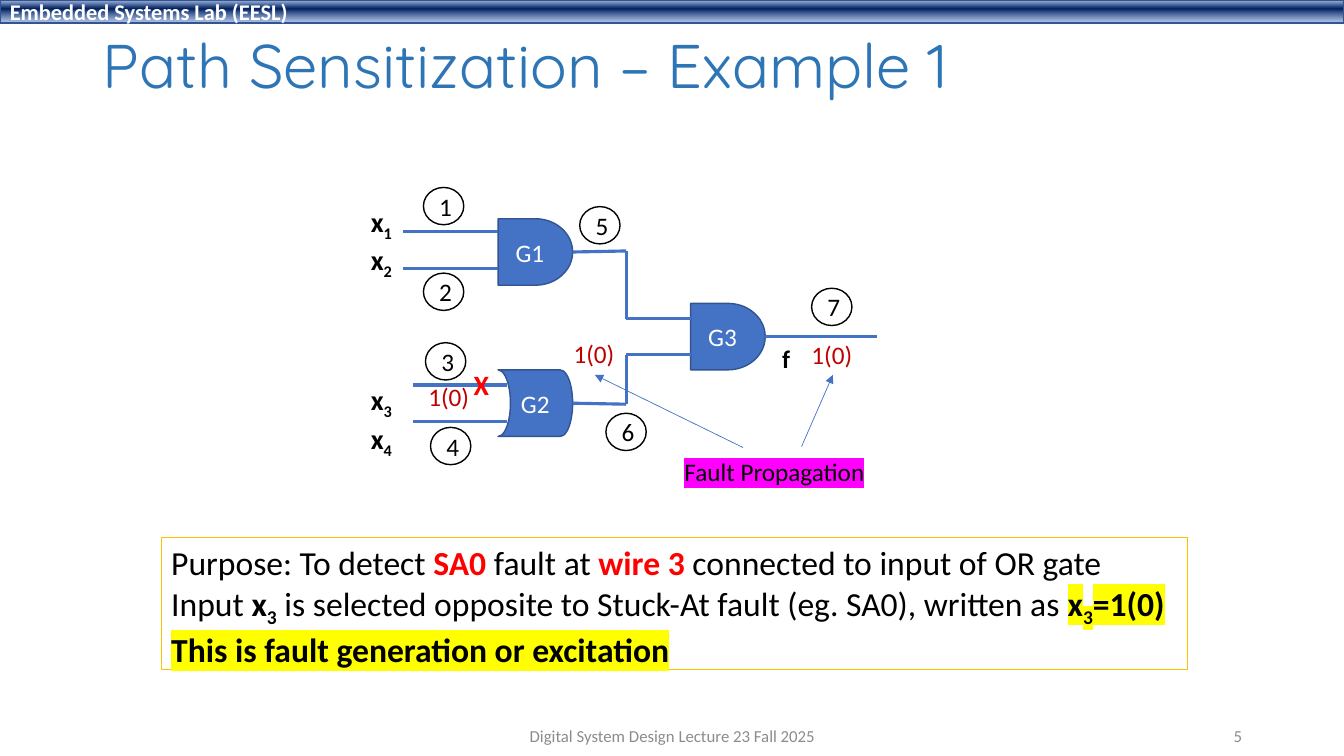
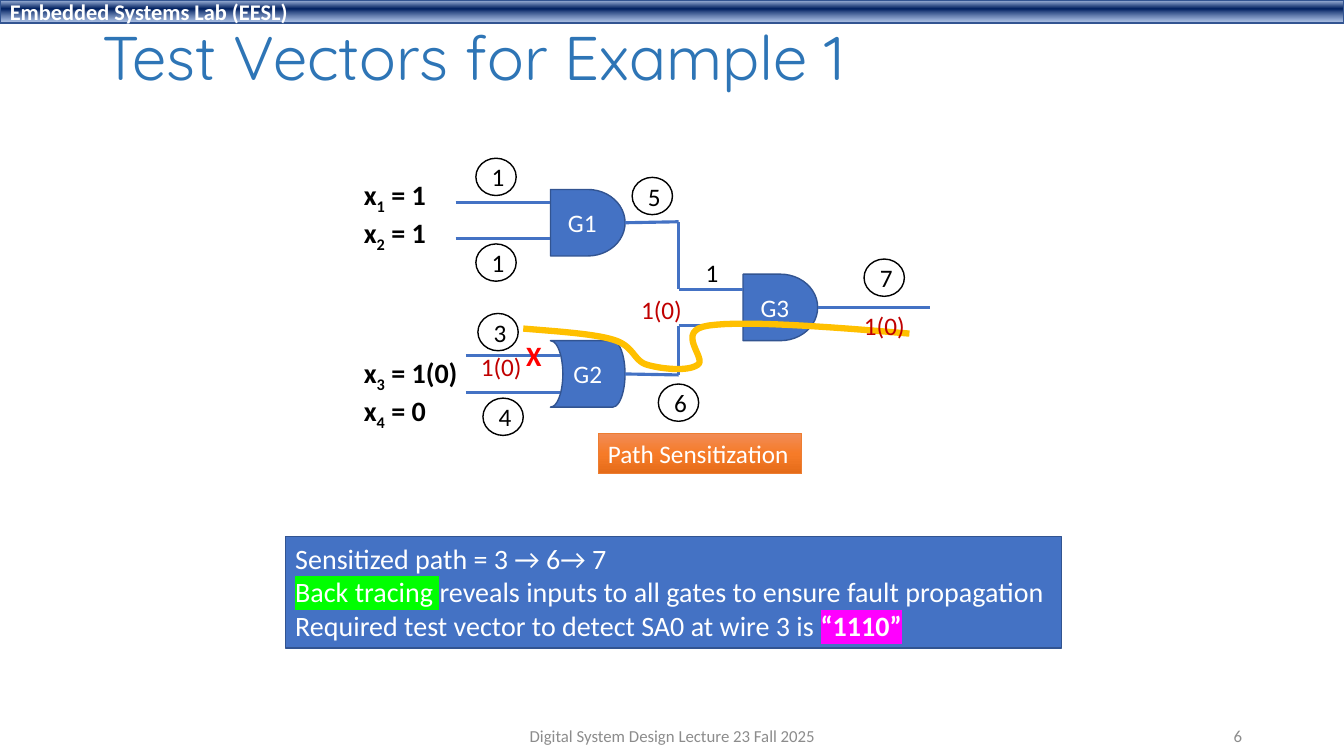
import copy

import lxml.etree
import pptx
import pptx.dml.color
import pptx.enum.shapes
import pptx.enum.text
import pptx.oxml.ns
import pptx.util

Inches, Pt = pptx.util.Inches, pptx.util.Pt
RGB = pptx.dml.color.RGBColor
SHAPE = pptx.enum.shapes.MSO_SHAPE
PH = pptx.enum.shapes.PP_PLACEHOLDER
ALIGN = pptx.enum.text.PP_ALIGN
ANCHOR = pptx.enum.text.MSO_ANCHOR
AUTO = pptx.enum.text.MSO_AUTO_SIZE
qn = pptx.oxml.ns.qn

# Shared look
BLUE, DARK_BLUE = RGB(0x44, 0x72, 0xC4), RGB(0x32, 0x54, 0x91)
TITLE_BLUE, GRAY = RGB(0x2E, 0x75, 0xB6), RGB(0x8C, 0x8C, 0x8C)
BLACK, WHITE = RGB(0, 0, 0), RGB(0xFF, 0xFF, 0xFF)
RED, DARK_RED = RGB(0xFF, 0, 0), RGB(0xC0, 0, 0)
GOLD, ORANGE = RGB(0xFF, 0xC0, 0), RGB(0xED, 0x7D, 0x31)
YELLOW, GREEN = RGB(0xFF, 0xFF, 0), RGB(0, 0xFF, 0)
MAGENTA = RGB(0xFF, 0, 0xFF)
# Gradient stops: position %, colour, opacity %
BAND_STOPS = [(2, RGB(0xAB, 0xC0, 0xE4), 100), (38, RGB(0, 0x20, 0x60), 100),
              (93, RGB(0x7E, 0x9E, 0xD6), 64)]
ORANGE_STOPS = [(0, RGB(0xF1, 0x8C, 0x57), 100), (50, RGB(0xF6, 0x7B, 0x28), 100),
                (100, RGB(0xE5, 0x6C, 0x19), 100)]
BODY_FONT, TITLE_FONT = "Calibri", "Quicksand"
FOOTER = "Digital System Design Lecture 23 Fall 2025"

# Circuit geometry, before the slide's offset
GATES = [("G1", SHAPE.FLOWCHART_DELAY, 4.94, 2.17),
         ("G3", SHAPE.FLOWCHART_DELAY, 6.85, 3.01),
         ("G2", SHAPE.FLOWCHART_STORED_DATA, 4.94, 3.67)]
WIRES = [(4, 2.3, 4.94, 2.3), (4, 2.66, 4.94, 2.66),
         (4.1, 3.82, 5.03, 3.82), (4.1, 4.18, 5.03, 4.18),
         (5.68, 2.5, 6.21, 2.49), (6.21, 2.49, 6.21, 3.16), (6.21, 3.16, 6.85, 3.16),
         (5.68, 4, 6.21, 4.01), (6.21, 4.01, 6.21, 3.52), (6.21, 3.52, 6.85, 3.52),
         (7.59, 3.34, 8.7, 3.34)]
WIRE_TAGS = [(4.2, 1.86), (4.2, 2.71), (4.22, 3.4), (4.27, 4.24),
             (5.75, 2.05), (6.01, 4.1), (8.05, 2.86)]
# Sensitized path: start, then control, control, end of each curve
PATH_START = (5.19, 3.26)
PATH_CURVES = [((5.54, 3.29), (5.88, 3.31), (6.08, 3.37)),
               ((6.29, 3.43), (6.28, 3.58), (6.42, 3.62)),
               ((6.56, 3.66), (6.82, 3.69), (6.92, 3.62)),
               ((7.02, 3.56), (6.68, 3.28), (7.03, 3.23)),
               ((7.38, 3.18), (8.2, 3.24), (9.02, 3.31))]


# Text
def style_run(r, color=None, bold=None, mark=None, sub=False):
    if color is not None:
        r.font.color.rgb = color
    if bold is not None:
        r.font.bold = bold
    rPr = r._r.get_or_add_rPr()
    if sub:
        rPr.set("baseline", "-25000")
    if mark is not None:
        highlight = lxml.etree.SubElement(rPr, qn("a:highlight"))
        lxml.etree.SubElement(highlight, qn("a:srgbClr"), val=str(mark))


def write(tf, lines, size, color, bold=False, align=ALIGN.LEFT, font=BODY_FONT):
    """Each line is a string or a list of strings and (text, style) pairs."""
    for i, line in enumerate(lines):
        p = tf.paragraphs[0] if i == 0 else tf.add_paragraph()
        p.alignment = align
        p.font.name, p.font.size, p.font.bold = font, Pt(size), bold
        p.font.color.rgb = color
        for part in [line] if isinstance(line, str) else line:
            text, style = (part, {}) if isinstance(part, str) else part
            r = p.add_run()
            r.text = text
            style_run(r, **style)


def add_text(s, x, y, w, h, lines, size=18, color=BLACK, bold=False):
    tf = s.shapes.add_textbox(Inches(x), Inches(y), Inches(w), Inches(h)).text_frame
    tf.word_wrap = False
    write(tf, lines, size, color, bold)


# Shapes
def set_gradient(shape, stops):
    shape.fill.gradient()
    shape.fill.gradient_angle = 270
    gs_list = shape.element.spPr.find(qn("a:gradFill")).find(qn("a:gsLst"))
    for gs in list(gs_list):
        gs_list.remove(gs)
    for pos, color, opacity in stops:
        gs = lxml.etree.SubElement(gs_list, qn("a:gs"), pos=str(pos * 1000))
        clr = lxml.etree.SubElement(gs, qn("a:srgbClr"), val=str(color))
        if opacity < 100:
            lxml.etree.SubElement(clr, qn("a:alpha"), val=str(opacity * 1000))


def add_shape(s, kind, x, y, w, h, fill, line, weight=1):
    """Fill is a colour, a list of gradient stops or None."""
    shape = s.shapes.add_shape(kind, Inches(x), Inches(y), Inches(w), Inches(h))
    shape.shadow.inherit = False
    if fill is None:
        shape.fill.background()
    elif isinstance(fill, RGB):
        shape.fill.solid()
        shape.fill.fore_color.rgb = fill
    else:
        set_gradient(shape, fill)
    shape.line.color.rgb = line
    shape.line.width = Pt(weight)
    return shape


def add_box(s, x, y, w, h, fill, line, lines, size, color, weight=1):
    tf = add_shape(s, SHAPE.RECTANGLE, x, y, w, h, fill, line, weight).text_frame
    tf.word_wrap = False
    tf.vertical_anchor = ANCHOR.TOP
    write(tf, lines, size, color)


def add_line(s, x1, y1, x2, y2, weight=2.25, arrow=False):
    line = s.shapes.add_connector(pptx.enum.shapes.MSO_CONNECTOR.STRAIGHT,
                                  Inches(x1), Inches(y1), Inches(x2), Inches(y2))
    line.line.color.rgb = BLUE
    line.line.width = Pt(weight)
    if arrow:
        lxml.etree.SubElement(line.line._get_or_add_ln(), qn("a:tailEnd"), type="triangle")
    lxml.etree.SubElement(line.element.spPr, qn("a:effectLst"))


def add_curve(s, start, curves, color, weight, steps=16):
    points = []
    p0 = start
    for p1, p2, p3 in curves:
        for t in (i / steps for i in range(1, steps + 1)):
            u = 1 - t
            points.append(tuple(
                Inches(u**3 * a + 3 * u * u * t * b + 3 * u * t * t * c + t**3 * d)
                for a, b, c, d in zip(p0, p1, p2, p3)))
        p0 = p3
    builder = s.shapes.build_freeform(Inches(start[0]), Inches(start[1]))
    builder.add_line_segments(points, close=False)
    curve = builder.convert_to_shape()
    curve.shadow.inherit = False
    curve.fill.background()
    curve.line.color.rgb = color
    curve.line.width = Pt(weight)


# Slide frame
def place(shape, x, y, w, h):
    shape.left, shape.top = Inches(x), Inches(y)
    shape.width, shape.height = Inches(w), Inches(h)
    shape.text_frame.vertical_anchor = ANCHOR.MIDDLE


def add_master_band(prs, s):
    """Draw the band on a slide, then move it behind all else on the master."""
    band = add_shape(s, SHAPE.RECTANGLE, 0, 0, 13.33, 0.23, BAND_STOPS, DARK_BLUE)
    write(band.text_frame, ["Embedded Systems Lab (EESL)"], 16, WHITE, bold=True)
    prs.slide_master.shapes.element.insert(2, band.element)


def add_slide(prs, title, title_y, number):
    layout = prs.slide_layouts[5]
    s = prs.slides.add_slide(layout)
    place(s.shapes.title, 0.92, title_y, 11.5, 0.92)
    tf = s.shapes.title.text_frame
    tf.auto_size = AUTO.NONE
    write(tf, [title], 44, TITLE_BLUE, font=TITLE_FONT)
    tf.paragraphs[0].line_spacing = 0.9

    footers = {PH.FOOTER: (4.42, 4.5, FOOTER, ALIGN.CENTER),
               PH.SLIDE_NUMBER: (9.42, 3, str(number), ALIGN.RIGHT)}
    for ph in layout.placeholders:
        if ph.placeholder_format.type in footers:
            x, w, text, align = footers[ph.placeholder_format.type]
            s.shapes.element.append(copy.deepcopy(ph.element))
            footer = s.shapes[-1]
            place(footer, x, 7.1, w, 0.4)
            footer.text_frame.clear()
            write(footer.text_frame, [text], 12, GRAY, align=align)
    return s


# Circuit
def add_circuit(s, dx, dy, tags):
    for name, kind, x, y in GATES:
        gate = add_shape(s, kind, x + dx, y + dy, 0.74, 0.66, BLUE, DARK_BLUE)
        if kind == SHAPE.FLOWCHART_STORED_DATA:
            gate.element.spPr.find(qn("a:xfrm")).set("flipH", "1")
        write(gate.text_frame, [name], 18, WHITE, align=ALIGN.CENTER)
    for x1, y1, x2, y2 in WIRES:
        add_line(s, x1 + dx, y1 + dy, x2 + dx, y2 + dy)
    for tag, (x, y) in zip(tags, WIRE_TAGS):
        circle = add_shape(s, SHAPE.OVAL, x + dx, y + dy, 0.4, 0.37, None, BLACK)
        write(circle.text_frame, [tag], 18, BLACK, align=ALIGN.CENTER)
    add_text(s, 4.6 + dx, 3.6 + dy, 0.36, 0.44, ["X"], 20, RED, bold=True)


def add_inputs(s, x, y, w, values):
    lines = [["x", (str(i), {"sub": True}), value] for i, value in enumerate(values, 1)]
    add_text(s, x, y, w, 0.87, lines[:2], 20, bold=True)
    add_text(s, x, y + 1.77, w, 0.87, lines[2:], 20, bold=True)


def add_fault_values(s, places):
    for x, y in places:
        add_text(s, x, y, 0.61, 0.4, ["1(0)"], color=DARK_RED)


# Slides
def build_example(s):
    add_circuit(s, 0, 0, "1234567")
    add_inputs(s, 3.58, 1.98, 0.43, [""] * 4)
    add_text(s, 7.66, 3.36, 0.28, 0.4, ["f"], bold=True)
    add_fault_values(s, [(4.15, 3.73), (5.59, 3.31), (7.95, 3.32)])
    add_text(s, 6.69, 4.48, 2.01, 0.4, [[("Fault Propagation", {"mark": MAGENTA})]])
    add_line(s, 7.37, 4.44, 5.9, 3.72, 0.5, arrow=True)
    add_line(s, 7.95, 4.43, 8.26, 3.72, 0.5, arrow=True)

    red, bold = {"color": RED, "bold": True}, {"bold": True}
    marked = {"bold": True, "mark": YELLOW}
    add_box(s, 1.6, 5.33, 10.18, 1.31, WHITE, GOLD, [
        ["Purpose: To detect ", ("SA0", red), " fault at ", ("wire 3", red),
         " connected to input of OR gate"],
        ["Input ", ("x", bold), ("3", {"bold": True, "sub": True}),
         " is selected opposite to Stuck-At fault (eg. SA0), written as ",
         ("x", marked), ("3", {**marked, "sub": True}), ("=1(0)", marked)],
        [("This is fault generation or excitation", marked)]], 24, BLACK)


def build_test_vectors(s):
    add_box(s, 2.83, 5.32, 7.7, 1.11, BLUE, DARK_BLUE, [
        "Sensitized path = 3 → 6→ 7",
        [("Back tracing ", {"mark": GREEN}),
         "reveals inputs to all gates to ensure fault propagation"],
        ["Required test vector to detect SA0 at wire 3 is ",
         ("“1110”", {"bold": True, "mark": MAGENTA})]], 20, WHITE)
    add_circuit(s, 0.52, -0.29, "1134567")
    add_inputs(s, 3.51, 1.71, 1.18, [" = 1", " = 1", " = 1(0)", " = 0"])
    add_curve(s, PATH_START, PATH_CURVES, GOLD, 4.5)
    add_fault_values(s, [(4.67, 3.44), (6.26, 2.87), (8.47, 3.03)])
    add_text(s, 6.9, 2.5, 0.33, 0.4, ["1"])
    add_box(s, 5.93, 4.3, 2.02, 0.4, ORANGE_STOPS, ORANGE,
            ["Path Sensitization"], 18, WHITE, 0.5)


def main():
    prs = pptx.Presentation()
    prs.slide_width, prs.slide_height = Inches(13.33), Inches(7.5)
    s = add_slide(prs, "Path Sensitization – Example 1", 0.22, 5)
    add_master_band(prs, s)
    build_example(s)
    build_test_vectors(add_slide(prs, "Test Vectors for Example 1", 0.14, 6))
    prs.save("out.pptx")


if __name__ == "__main__":
    main()
